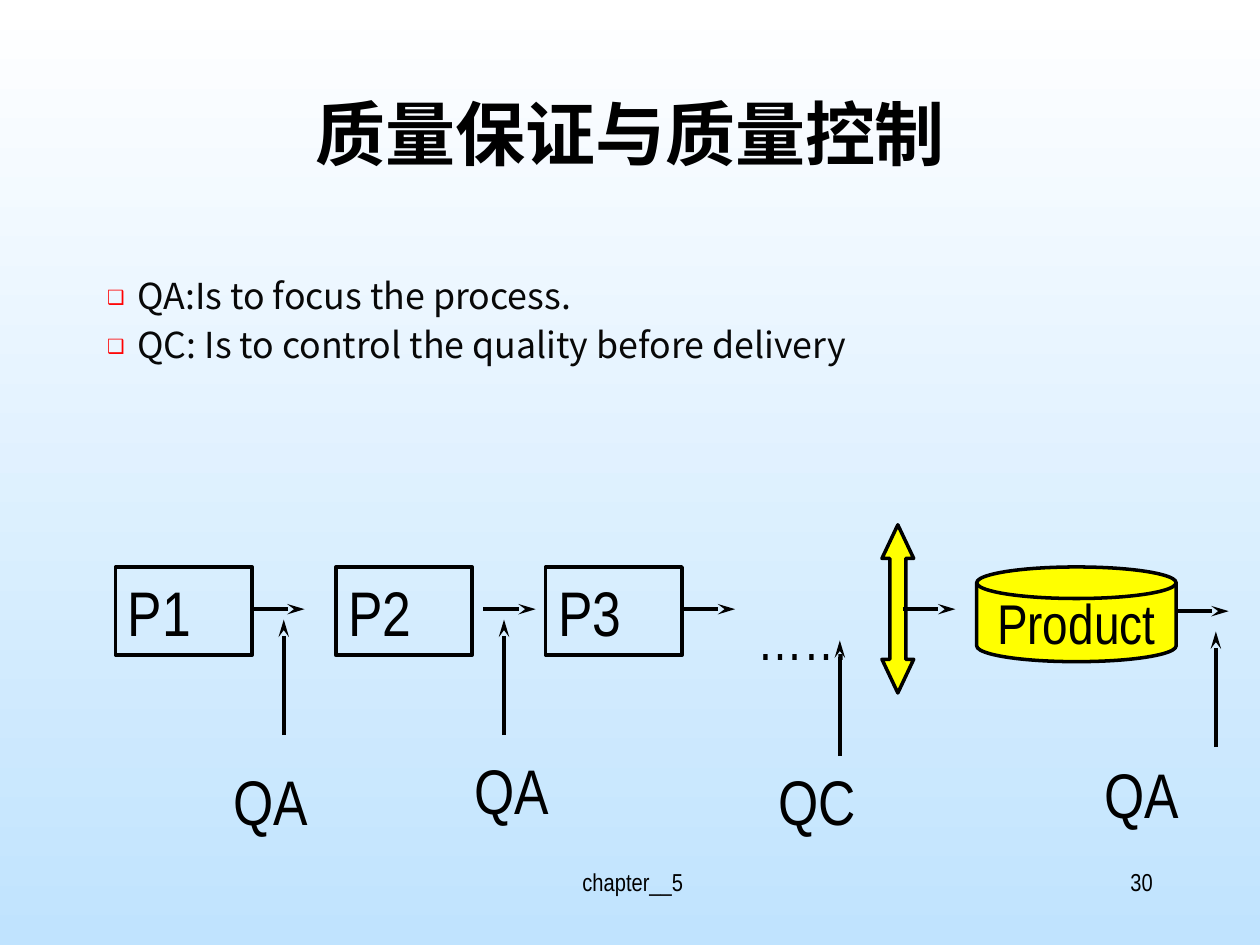
from pptx import Presentation
from pptx import util as u
from pptx.dml.color import RGBColor
from pptx.enum import shapes, text
from pptx.oxml.ns import qn
from lxml import etree

LATIN, CJK = "Arial Narrow", "Noto Sans CJK SC"
BLACK, YELLOW = "000000", "FFFF00"
LEFT, CENTER, RIGHT = text.PP_ALIGN.LEFT, text.PP_ALIGN.CENTER, text.PP_ALIGN.RIGHT

TITLE = "质量保证与质量控制"
POINTS = ["QA:Is to focus the process.", "QC: Is to control the quality before delivery"]
STEPS = [("P1", 2.33), ("P2", 6.77), ("P3", 11)]
LABELS = [
    (" chapter__5", (8.68, 17.36, 8.04, 1.27), 14, CENTER),
    ("30", (18.2, 17.36, 5.29, 1.27), 14, RIGHT),
    ("……", (15.03, 12.07, 2.75, 1.62), 32, LEFT),
    ("QA", (4.45, 15.24, 3.39, 1.78), 36, LEFT),
    ("QA", (9.31, 15.03, 3.39, 1.78), 36, LEFT),
    ("QC", (15.45, 15.24, 3.39, 1.78), 36, LEFT),
    ("QA", (22.01, 15.11, 3.39, 1.78), 36, LEFT),
]
FLOW_ARROWS = [(5.08, 12.28), (9.74, 12.28), (13.76, 12.28), (18.2, 12.28), (23.71, 12.32)]
CHECK_ARROWS = [(5.72, 14.82), (10.16, 14.82), (16.93, 15.24), (24.51, 15.06)]
FLOW_LENGTH, CHECK_LENGTH = 1.06, 2.33
GATE_GUIDES = {"adj1": 50000, "adj2": 106000}


def color(value):
    return RGBColor.from_string(value)


def lengths(values):
    return [u.Cm(value) for value in values]


def write(para, words, size, face=LATIN, ink=BLACK, bold=False):
    span = para.add_run()
    span.text = words
    for name, value in {"name": face, "size": u.Pt(size), "bold": bold}.items():
        setattr(span.font, name, value)
    span.font.color.rgb = color(ink)
    etree.SubElement(span.font._element, qn("a:ea"), typeface=face)


def add_label(slide, words, place, size, align):
    box = slide.shapes.add_textbox(*lengths(place))
    box.text_frame.word_wrap = True
    para = box.text_frame.paragraphs[0]
    para.alignment = align
    write(para, words, size)


def add_shape(slide, preset, place, fill=None):
    shape = slide.shapes.add_shape(preset, *lengths(place))
    shape.shadow.inherit = False
    if fill:
        shape.fill.solid()
        shape.fill.fore_color.rgb = color(fill)
    else:
        shape.fill.background()
    shape.line.color.rgb = color(BLACK)
    shape.line.width = u.Pt(2)
    return shape


def add_shape_text(shape, words, size, align, anchor, wrap):
    frame = shape.text_frame
    for name, value in {"vertical_anchor": anchor, "word_wrap": wrap}.items():
        setattr(frame, name, value)
    frame.paragraphs[0].alignment = align
    write(frame.paragraphs[0], words, size)


def set_guides(shape, guides):
    values = shape._element.spPr.find(qn("a:prstGeom")).get_or_add_avLst()
    for guide in list(values):
        values.remove(guide)
    for name, value in guides.items():
        etree.SubElement(values, qn("a:gd"), name=name, fmla=f"val {value}")


def add_arrow(slide, x, y, dx, dy):
    arrow = slide.shapes.add_connector(
        shapes.MSO_CONNECTOR.STRAIGHT, *lengths((x, y, x + dx, y + dy)))
    arrow.line.color.rgb = color(BLACK)
    arrow.line.width = u.Pt(2)
    etree.SubElement(
        arrow.line._get_or_add_ln(), qn("a:tailEnd"), type="stealth", w="med", len="lg")
    etree.SubElement(arrow._element.spPr, qn("a:effectLst"))


def add_points(slide):
    frame = slide.shapes.add_textbox(*lengths((1.91, 5.5, 21.59, 2.75))).text_frame
    frame.word_wrap = True
    for index, words in enumerate(POINTS):
        para = frame.add_paragraph() if index else frame.paragraphs[0]
        para.line_spacing = 0.9
        para.space_before = u.Pt(6 if index else 0)
        props = para._p.get_or_add_pPr()
        props.set("marL", str(u.Cm(0.61)))
        props.set("indent", str(u.Cm(-0.61)))
        bullet_color = etree.SubElement(props, qn("a:buClr"))
        etree.SubElement(bullet_color, qn("a:srgbClr"), val="FF0000")
        etree.SubElement(props, qn("a:buSzPct"), val="55000")
        etree.SubElement(props, qn("a:buFont"), typeface=CJK)
        etree.SubElement(props, qn("a:buChar"), char="❑")
        write(para, words, 20.4, CJK, "080808")


def add_title(slide):
    title = slide.shapes.title
    title.left, title.top, title.width, title.height = lengths((1.91, 1.69, 21.59, 3.18))
    title.text_frame.vertical_anchor = text.MSO_ANCHOR.TOP
    para = title.text_frame.paragraphs[0]
    para.alignment = CENTER
    write(para, TITLE, 40, CJK, bold=True)


def main():
    deck = Presentation()
    deck.slide_width, deck.slide_height = lengths((25.4, 19.05))
    slide = deck.slides.add_slide(deck.slide_layouts[5])
    fill = slide.background.fill
    fill.gradient()
    fill.gradient_angle = 270
    for stop, value in zip(fill.gradient_stops, ("FFFFFF", "C0E3FE")):
        stop.color.rgb = color(value)

    add_title(slide)
    add_points(slide)
    for words, x in STEPS:
        step = add_shape(slide, shapes.MSO_SHAPE.RECTANGLE, (x, 11.43, 2.75, 1.78))
        add_shape_text(step, words, 36, LEFT, text.MSO_ANCHOR.TOP, True)
    for label in LABELS:
        add_label(slide, *label)

    gate = add_shape(slide, shapes.MSO_SHAPE.UP_DOWN_ARROW, (17.78, 10.58, 0.64, 3.39), YELLOW)
    set_guides(gate, GATE_GUIDES)
    product = add_shape(
        slide, shapes.MSO_SHAPE.FLOWCHART_MAGNETIC_DISK, (19.69, 11.43, 4.02, 1.91), YELLOW)
    add_shape_text(product, "Product", 32, CENTER, text.MSO_ANCHOR.MIDDLE, False)

    for x, y in FLOW_ARROWS:
        add_arrow(slide, x, y, FLOW_LENGTH, 0)
    for x, y in CHECK_ARROWS:
        add_arrow(slide, x, y, 0, -CHECK_LENGTH)
    deck.save("out.pptx")


if __name__ == "__main__":
    main()
